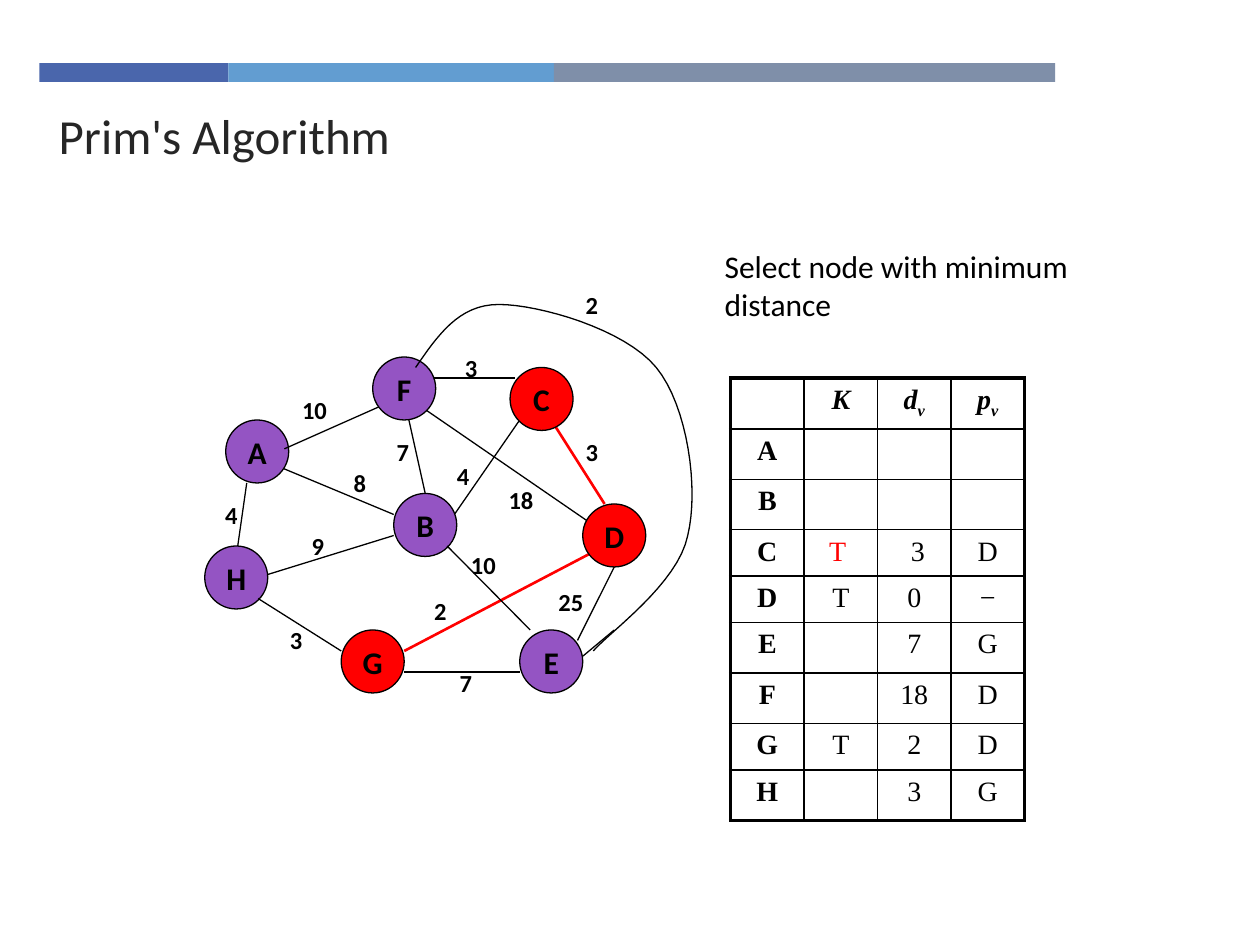
from pptx import Presentation
from pptx.dml.color import RGBColor
from pptx.enum.shapes import MSO_CONNECTOR as Connector, MSO_SHAPE as Shape
from pptx.enum.text import MSO_ANCHOR as Anchor, PP_ALIGN as Align
from pptx.oxml.ns import qn
from pptx.util import Pt
from lxml.etree import SubElement

BLACK = RGBColor(0x00, 0x00, 0x00)
RED = RGBColor(0xFF, 0x00, 0x00)
PURPLE = RGBColor(0x94, 0x54, 0xC3)
INDIGO = RGBColor(0x4A, 0x66, 0xAC)
SKY = RGBColor(0x62, 0x9D, 0xD1)
SLATE = RGBColor(0x7F, 0x8F, 0xA9)
CHARCOAL = RGBColor(0x26, 0x26, 0x26)

TITLE = dict(name="Calibri", size=Pt(28))
NOTE = dict(name="Calibri", size=Pt(18))
NODE = dict(name="Calibri", size=Pt(18), bold=True)
WEIGHT = dict(name="Calibri", size=Pt(14), bold=True)
CELL = dict(name="Times New Roman", size=Pt(16))
ROW_NAME = dict(CELL, bold=True)
HEADING = dict(CELL, bold=True, italic=True)

NODE_SIZE = 36
# Node: left, top, fill, all relative to the graph box
NODES = {
    "A": (12, 78, PURPLE), "H": (0, 150, PURPLE), "B": (108, 120, PURPLE),
    "F": (96, 42, PURPLE), "E": (180, 198, PURPLE), "D": (216, 126, RED),
    "C": (174.5, 48, RED), "G": (78, 198, RED),
}
# Edges: x1, y1, x2, y2
EDGES_BEHIND = [
    (243, 144, 213, 204), (114, 66, 126, 120), (138.5, 138, 180, 78),
    (222, 138, 126, 72), (30.5, 168, 108, 144), (18, 156, 24, 114),
    (36, 102, 108, 132), (130, 54, 177.5, 54),
]
CHOSEN_EDGES = [(114, 210, 228.5, 150), (198, 78, 228.5, 126)]
EDGES_IN_FRONT = [
    (138.5, 150, 186, 198), (180, 222, 114, 222), (78, 210, 30.5, 180),
    (45.5, 94.5, 99.5, 70.5), (234, 198, 216, 213),
]
# Cubic curve from F round to E: start, then two controls and an end per part
F_START = (120.5, 48)
F_TO_E = [
    ((133, 30), (145, 12), (168, 12)),
    ((191, 12), (240, 26), (258, 48)),
    ((276, 70), (282.5, 117.5), (276, 144)),
    ((270.5, 171.5), (231.5, 199), (222, 210)),
]
CURVE_STEPS = 16
WEIGHTS = [
    ("4", 4.5, 120), ("25", 195, 170), ("7", 138.5, 216), ("2", 124, 175),
    ("10", 145, 148.5), ("18", 166.5, 111.5), ("3", 210.5, 84), ("4", 137, 98),
    ("3", 141.5, 36), ("7", 102.5, 84), ("8", 78, 102), ("9", 54, 138),
    ("3", 41.5, 191.5), ("10", 48.5, 60), ("2", 210.5, 0),
]
# A heading's second letter is a subscript
HEADINGS = ["", "K", "dv", "pv"]
ROWS = [
    ("A", "", "", ""), ("B", "", "", ""), ("C", "T ", " 3", "D"),
    ("D", "T", "0", "−"), ("E", "", "7", "G"), ("F", "", "18", "D"),
    ("G", "T", "2", "D"), ("H", "", "3", "G"),
]


def write(paragraph, words, style, color=BLACK):
    run = paragraph.add_run()
    run.text = words
    for attribute, value in style.items():
        setattr(run.font, attribute, value)
    run.font.color.rgb = color
    return run


def add_words(slide, box, words, style, color=BLACK, anchor=Anchor.TOP):
    frame = slide.shapes.add_textbox(*map(Pt, box)).text_frame
    frame.word_wrap = True
    frame.vertical_anchor = anchor
    write(frame.paragraphs[0], words, style, color)


def add_edges(slide, left, top, edges, color=BLACK, width=0.75):
    for x1, y1, x2, y2 in edges:
        edge = slide.shapes.add_connector(
            Connector.STRAIGHT, Pt(left + x1), Pt(top + y1), Pt(left + x2), Pt(top + y2))
        edge.line.color.rgb = color
        edge.line.width = Pt(width)
        SubElement(edge._element.spPr, qn("a:effectLst"))


def add_curve(slide, left, top):
    points, start = [], F_START
    for control1, control2, end in F_TO_E:
        for step in range(1, CURVE_STEPS + 1):
            t = step / CURVE_STEPS
            u = 1 - t
            points.append(tuple(
                Pt(offset + u**3 * a + 3 * u * u * t * b + 3 * u * t * t * c + t**3 * d)
                for offset, a, b, c, d in zip((left, top), start, control1, control2, end)))
        start = end
    builder = slide.shapes.build_freeform(Pt(left + F_START[0]), Pt(top + F_START[1]))
    builder.add_line_segments(points, close=False)
    curve = builder.convert_to_shape()
    curve.shadow.inherit = False
    curve.fill.background()
    curve.line.color.rgb = BLACK
    curve.line.width = Pt(0.75)


def add_graph(slide, left, top):
    add_edges(slide, left, top, EDGES_BEHIND)
    add_edges(slide, left, top, CHOSEN_EDGES, RED, 1.5)
    # Nodes
    for letter, (x, y, fill) in NODES.items():
        node = slide.shapes.add_shape(
            Shape.OVAL, Pt(left + x), Pt(top + y), Pt(NODE_SIZE), Pt(NODE_SIZE))
        node.shadow.inherit = False
        node.fill.solid()
        node.fill.fore_color.rgb = fill
        node.line.color.rgb = BLACK
        node.line.width = Pt(0.75)
        node.text_frame.word_wrap = False
        node.text_frame.vertical_anchor = Anchor.MIDDLE
        label = node.text_frame.paragraphs[0]
        label.alignment = Align.CENTER
        write(label, letter, NODE)
    add_edges(slide, left, top, EDGES_IN_FRONT)
    # Edge weights
    for weight, x, y in WEIGHTS:
        width = 24 if len(weight) == 1 else 37.5
        add_words(slide, (left + x, top + y, width, 24), weight, WEIGHT)
    add_curve(slide, left, top)


def set_borders(cell, outer):
    properties = cell._tc.get_or_add_tcPr()
    for side in ("L", "R", "T", "B"):
        width = Pt(2.25 if side in outer else 1)
        border = SubElement(properties, qn(f"a:ln{side}"), w=str(width))
        SubElement(SubElement(border, qn("a:solidFill")), qn("a:srgbClr"), val=str(BLACK))


def add_distance_table(slide, left, top, width, height):
    records = [HEADINGS, *ROWS]
    last_row, last_column = len(records) - 1, len(HEADINGS) - 1
    table = slide.shapes.add_table(
        len(records), len(HEADINGS), *map(Pt, (left, top, width, height))).table
    table.first_row = table.horz_banding = False
    for r, record in enumerate(records):
        table.rows[r].height = Pt(height / len(records))
        for c, words in enumerate(record):
            cell = table.cell(r, c)
            edges = {"T": r == 0, "B": r == last_row, "L": c == 0, "R": c == last_column}
            set_borders(cell, [side for side, on_edge in edges.items() if on_edge])
            cell.fill.background()
            entry = cell.text_frame.paragraphs[0]
            entry.alignment = Align.CENTER
            if r == 0:
                write(entry, words[:1], HEADING)
                if words[1:]:
                    subscript = write(entry, words[1:], HEADING)
                    subscript._r.get_or_add_rPr().set("baseline", "-25000")
            else:
                newly_selected = (record[0], c) == ("C", 1)
                write(entry, words, CELL if c else ROW_NAME, RED if newly_selected else BLACK)


def add_header(slide, left, top):
    # Colour bars
    x = left
    for width, fill in ((108, INDIGO), (186, SKY), (286.5, SLATE)):
        bar = slide.shapes.add_shape(Shape.RECTANGLE, Pt(x), Pt(top), Pt(width), Pt(10.8))
        bar.shadow.inherit = False
        bar.fill.solid()
        bar.fill.fore_color.rgb = fill
        bar.line.fill.background()
        x += width
    # Title
    add_words(slide, (left + 4, top + 21.5, 515.5, 39), "Prim's Algorithm",
              TITLE, CHARCOAL, Anchor.MIDDLE)


def main():
    deck = Presentation()
    deck.slide_width, deck.slide_height = Pt(720), Pt(540)
    slide = deck.slides.add_slide(deck.slide_layouts[6])
    add_header(slide, 22.5, 36)
    add_graph(slide, 117, 162)
    add_words(slide, (407, 137.5, 228, 55.5), "Select node with minimum distance", NOTE)
    add_distance_table(slide, 417.5, 216, 168, 239)
    deck.save("out.pptx")


if __name__ == "__main__":
    main()
